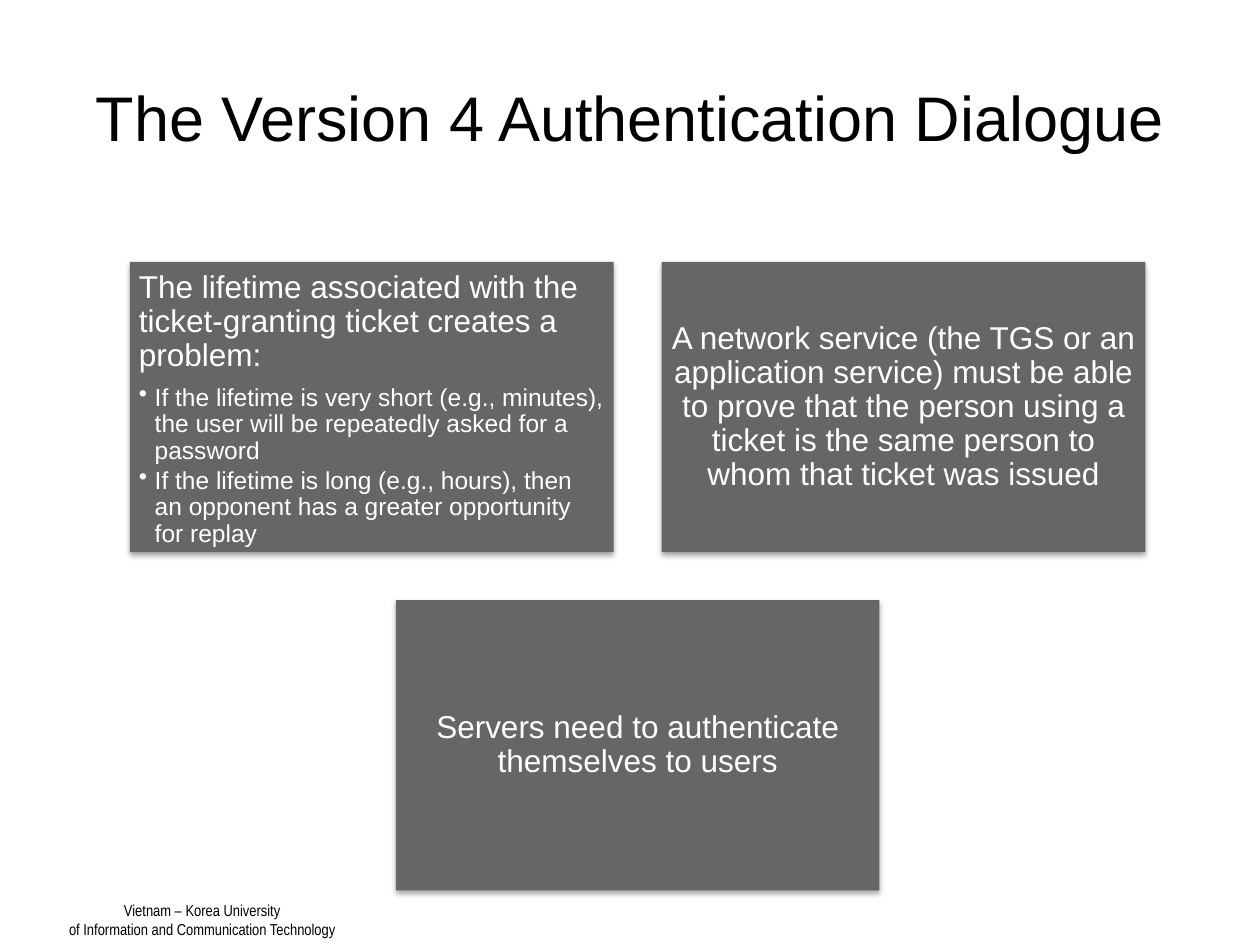
from dataclasses import dataclass

from lxml import etree
from pptx import Presentation
from pptx.dml.color import RGBColor
from pptx.enum.shapes import MSO_SHAPE
from pptx.enum.text import MSO_ANCHOR, MSO_AUTO_SIZE, PP_ALIGN
from pptx.oxml.ns import qn
from pptx.util import Cm, Pt

RECTANGLE = MSO_SHAPE.RECTANGLE
TOP, MIDDLE = MSO_ANCHOR.TOP, MSO_ANCHOR.MIDDLE
LEFT, CENTER = PP_ALIGN.LEFT, PP_ALIGN.CENTER
TITLE_ONLY = 5


@dataclass(frozen=True)
class Theme:
    ink: RGBColor = RGBColor(0, 0, 0)
    card: RGBColor = RGBColor(0x66, 0x66, 0x66)
    card_ink: RGBColor = RGBColor(0xFF, 0xFF, 0xFF)
    font: str = "Arial"
    footer_font: str = "Arial Narrow"
    title_size: Pt = Pt(36)
    card_size: Pt = Pt(18)
    bullet_size: Pt = Pt(14)
    footer_size: Pt = Pt(9)


theme = Theme()


def style(para, size, color, align, font=theme.font):
    para.alignment = align
    para.font.name = font
    para.font.size = size
    para.font.color.rgb = color


def add_shadow(shape):
    """Give the shape a soft shadow that falls straight down."""
    shape.shadow.inherit = False
    effects = shape._element.spPr.find(qn("a:effectLst"))
    shadow = etree.SubElement(effects, qn("a:outerShdw"), blurRad=str(Pt(3.1)),
                              dist=str(Pt(1.8)), dir="5400000", rotWithShape="0")
    black = etree.SubElement(shadow, qn("a:srgbClr"), val="000000")
    etree.SubElement(black, qn("a:alpha"), val="35000")


deck = Presentation()
deck.slide_width, deck.slide_height = Cm(25.4), Cm(19.05)
page = deck.slides.add_slide(deck.slide_layouts[TITLE_ONLY])

# Title
title = page.shapes.title
title.left, title.top, title.width, title.height = Cm(1.27), Cm(0.76), Cm(22.86), Cm(3.18)
title.text_frame.text = "The Version 4 Authentication Dialogue"
title.text_frame.vertical_anchor = MIDDLE
style(title.text_frame.paragraphs[0], theme.title_size, theme.ink, CENTER)

# Footer
footer = page.shapes.add_textbox(Cm(1.09), Cm(18.03), Cm(5.97), Cm(1.02))
footer.text_frame.text = "Vietnam – Korea University\nof Information and Communication Technology"
footer.text_frame.word_wrap = False
footer.text_frame.auto_size = MSO_AUTO_SIZE.SHAPE_TO_FIT_TEXT
for para in footer.text_frame.paragraphs:
    style(para, theme.footer_size, theme.ink, CENTER, theme.footer_font)

# Cards: two in the first row, the third centred below them
card_width, card_height, gap = 9.75, 5.85, 0.97
first_left, first_top = 2.62, 5.28
step_x, step_y = card_width + gap, card_height + gap
cards = [
    (0, 0, "The lifetime associated with the ticket-granting ticket creates a problem:",
     ["If the lifetime is very short (e.g., minutes), the user will be repeatedly "
      "asked for a password",
      "If the lifetime is long (e.g., hours), then an opponent has a greater "
      "opportunity for replay"]),
    (1, 0, "A network service (the TGS or an application service) must be able to prove "
     "that the person using a ticket is the same person to whom that ticket was issued", []),
    (0.5, 1, "Servers need to authenticate themselves to users", []),
]
for column, row, statement, bullets in cards:
    card = page.shapes.add_shape(
        RECTANGLE, Cm(first_left + column * step_x), Cm(first_top + row * step_y),
        Cm(card_width), Cm(card_height))
    card.fill.solid()
    card.fill.fore_color.rgb = theme.card
    card.line.fill.background()
    add_shadow(card)

    frame = card.text_frame
    frame.word_wrap = True
    frame.vertical_anchor = TOP if bullets else MIDDLE
    frame.margin_left = frame.margin_right = Cm(0.18)
    frame.margin_top = frame.margin_bottom = Cm(0.18)

    para = frame.paragraphs[0]
    para.text = statement
    para.line_spacing = 0.9
    para.space_after = Pt(7)
    style(para, theme.card_size, theme.card_ink, LEFT if bullets else CENTER)

    for bullet in bullets:
        para = frame.add_paragraph()
        para.text = bullet
        para.level = 1
        para.line_spacing = 0.9
        para.space_after = Pt(2)
        properties = para._p.get_or_add_pPr()
        properties.set("marL", str(Cm(0.32)))
        properties.set("indent", str(-Cm(0.32)))
        etree.SubElement(properties, qn("a:buChar"), char="•")
        style(para, theme.bullet_size, theme.card_ink, LEFT)

deck.save("out.pptx")
